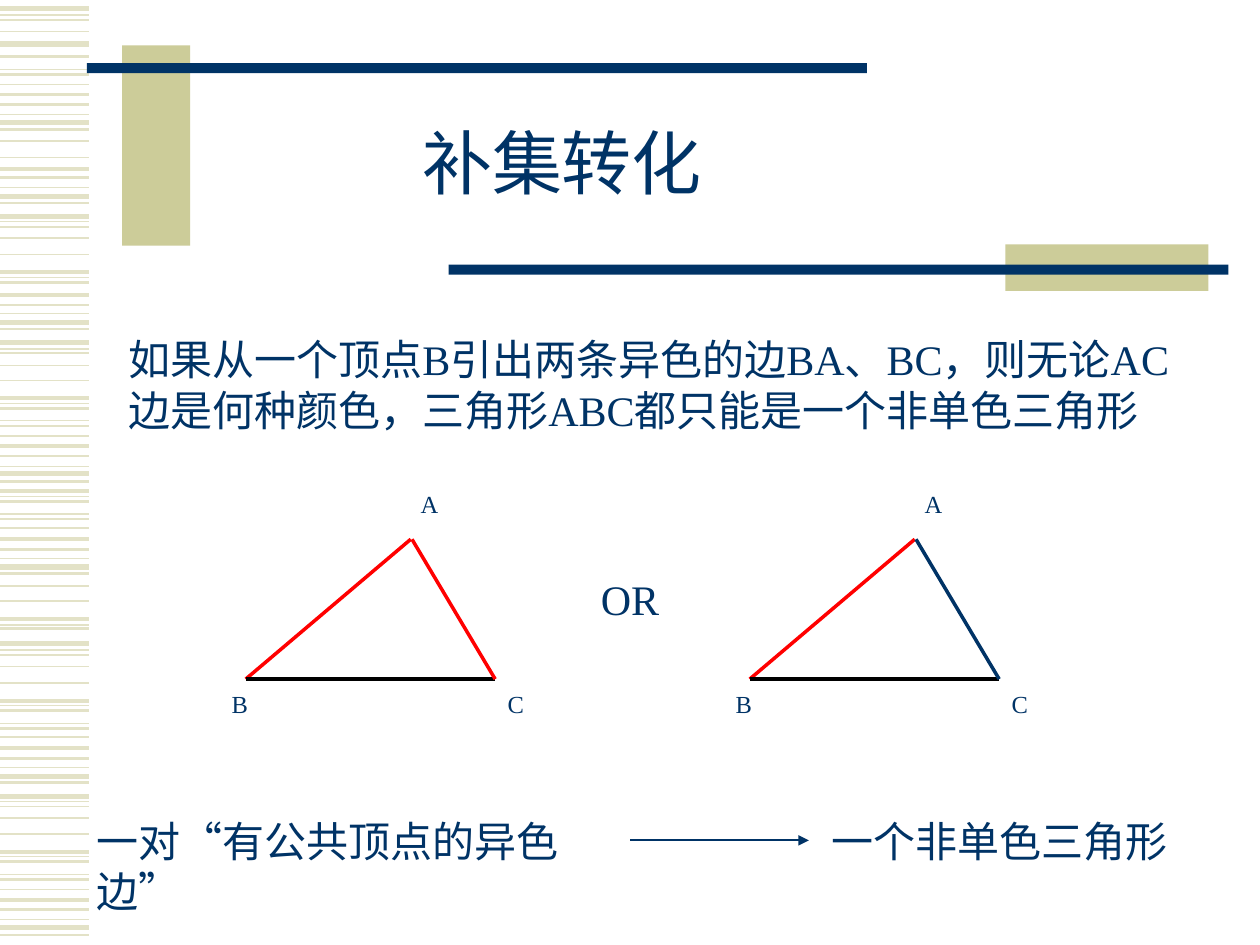
from dataclasses import dataclass

from lxml import etree
from pptx import Presentation
from pptx import util as u
from pptx.dml.color import RGBColor
from pptx.enum import shapes, text
from pptx.oxml import ns

PX = u.Inches(1) // 100


@dataclass(frozen=True)
class Theme:
    font: str = "Times New Roman"
    navy: str = "003366"
    khaki: str = "CCCC99"
    stripe: str = "E3E2C7"
    red: str = "FF0000"
    black: str = "000000"
    white: str = "FFFFFF"
    title_size: int = 40
    body_size: int = 24
    label_size: int = 14


THEME = Theme()


@dataclass(frozen=True)
class Block:
    left: int
    top: int
    width: int
    height: int
    fill: str


@dataclass(frozen=True)
class Caption:
    words: str
    left: int
    top: int
    width: int
    height: int
    size: int = THEME.body_size
    align: text.PP_ALIGN = text.PP_ALIGN.LEFT
    anchor: text.MSO_ANCHOR = text.MSO_ANCHOR.TOP
    line_spacing: float = 1.0
    fill: str | None = None


@dataclass(frozen=True)
class Segment:
    x1: int
    y1: int
    x2: int
    y2: int
    color: str
    weight: float
    arrow: bool = False


@dataclass(frozen=True)
class Triangle:
    left: int
    right_side: str


STRIPE_TOPS = {
    3: (7, 35, 97, 156, 172, 256, 272, 376, 450, 511, 616, 632, 736),
    2.25: (75, 134, 216, 234, 316, 354, 390, 428, 491, 556, 594, 676, 714),
    1.5: (45, 59, 83, 103, 141, 161, 224, 242, 261, 324, 338, 362, 382, 398,
          412, 436, 455, 499, 564, 578, 602, 621, 684, 698, 722, 742),
    1: (16, 25, 67, 112, 125, 180, 189, 202, 280, 290, 302, 346, 419, 465,
        477, 520, 529, 542, 585, 640, 649, 662, 706),
    0.75: (12, 55, 91, 149, 176, 220, 249, 277, 320, 334, 370, 394, 408, 443,
           496, 516, 560, 574, 609, 636, 680, 694, 730),
}

BLOCKS = (
    Block(97, 36, 54, 159, THEME.khaki),
    Block(69, 50, 619, 8, THEME.navy),
    Block(798, 194, 161, 37, THEME.khaki),
    Block(356, 210, 619, 8, THEME.navy),
)

CAPTIONS = (
    Caption("如果从一个顶点B引出两条异色的边BA、BC，则无论AC边是何种颜色，"
            "三角形ABC都只能是一个非单色三角形", 92, 260, 858, 130),
    Caption("补集转化", 317, 100, 258, 67, THEME.title_size,
            text.PP_ALIGN.CENTER, text.MSO_ANCHOR.MIDDLE, 0.85),
    Caption("一对“有公共顶点的异色边”", 67, 642, 425, 90),
    Caption("一个非单色三角形", 650, 642, 308, 50),
    Caption("OR", 467, 450, 67, 50),
)

TRIANGLES = (Triangle(195, THEME.red), Triangle(595, THEME.navy))


def draw_block(page, block: Block) -> None:
    box = page.shapes.add_shape(
        shapes.MSO_SHAPE.RECTANGLE, block.left * PX, block.top * PX,
        block.width * PX, block.height * PX)
    box.shadow.inherit = False
    box.fill.solid()
    box.fill.fore_color.rgb = RGBColor.from_string(block.fill)
    box.line.fill.background()


def draw_segment(page, segment: Segment) -> None:
    line = page.shapes.add_connector(
        shapes.MSO_CONNECTOR.STRAIGHT, segment.x1 * PX, segment.y1 * PX,
        segment.x2 * PX, segment.y2 * PX)
    line.line.color.rgb = RGBColor.from_string(segment.color)
    line.line.width = u.Pt(segment.weight)
    properties = line._element.spPr
    if segment.arrow:
        etree.SubElement(properties.find(ns.qn("a:ln")), ns.qn("a:tailEnd"),
                         type="triangle")
    etree.SubElement(properties, ns.qn("a:effectLst"))


def draw_caption(page, caption: Caption) -> None:
    box = page.shapes.add_textbox(
        caption.left * PX, caption.top * PX,
        caption.width * PX, caption.height * PX)
    if caption.fill:
        box.fill.solid()
        box.fill.fore_color.rgb = RGBColor.from_string(caption.fill)
    frame = box.text_frame
    frame.word_wrap = True
    frame.vertical_anchor = caption.anchor
    para = frame.paragraphs[0]
    para.text = caption.words
    para.alignment = caption.align
    para.line_spacing = caption.line_spacing
    para.font.name = THEME.font
    para.font.size = u.Pt(caption.size)
    para.font.color.rgb = RGBColor.from_string(THEME.navy)


def draw_triangle(page, triangle: Triangle) -> None:
    left, right = triangle.left, triangle.left + 198
    apex, top, base = triangle.left + 131, 428, 539
    labels = (("A", apex - 2, 383), ("C", right, 542), ("B", left - 21, 542))
    for letter, x, y in labels:
        draw_caption(page, Caption(
            letter, x, y, 66, 42, THEME.label_size,
            text.PP_ALIGN.JUSTIFY, fill=THEME.white))
    draw_segment(page, Segment(apex, top, left, base, THEME.red, 2))
    draw_segment(page, Segment(left, base, right, base, THEME.black, 2))
    draw_segment(page, Segment(apex + 1, top, right, base,
                               triangle.right_side, 2))


def main() -> None:
    deck = Presentation()
    deck.slide_width, deck.slide_height = 1000 * PX, 750 * PX
    page = deck.slides.add_slide(deck.slide_layouts[6])
    for weight, tops in STRIPE_TOPS.items():
        for top in tops:
            draw_segment(page, Segment(0, top, 71, top, THEME.stripe, weight))
    for block in BLOCKS:
        draw_block(page, block)
    for caption in CAPTIONS:
        draw_caption(page, caption)
    for triangle in TRIANGLES:
        draw_triangle(page, triangle)
    draw_segment(page, Segment(500, 667, 642, 667, THEME.navy, 1.25, True))
    deck.save("out.pptx")


if __name__ == "__main__":
    main()
